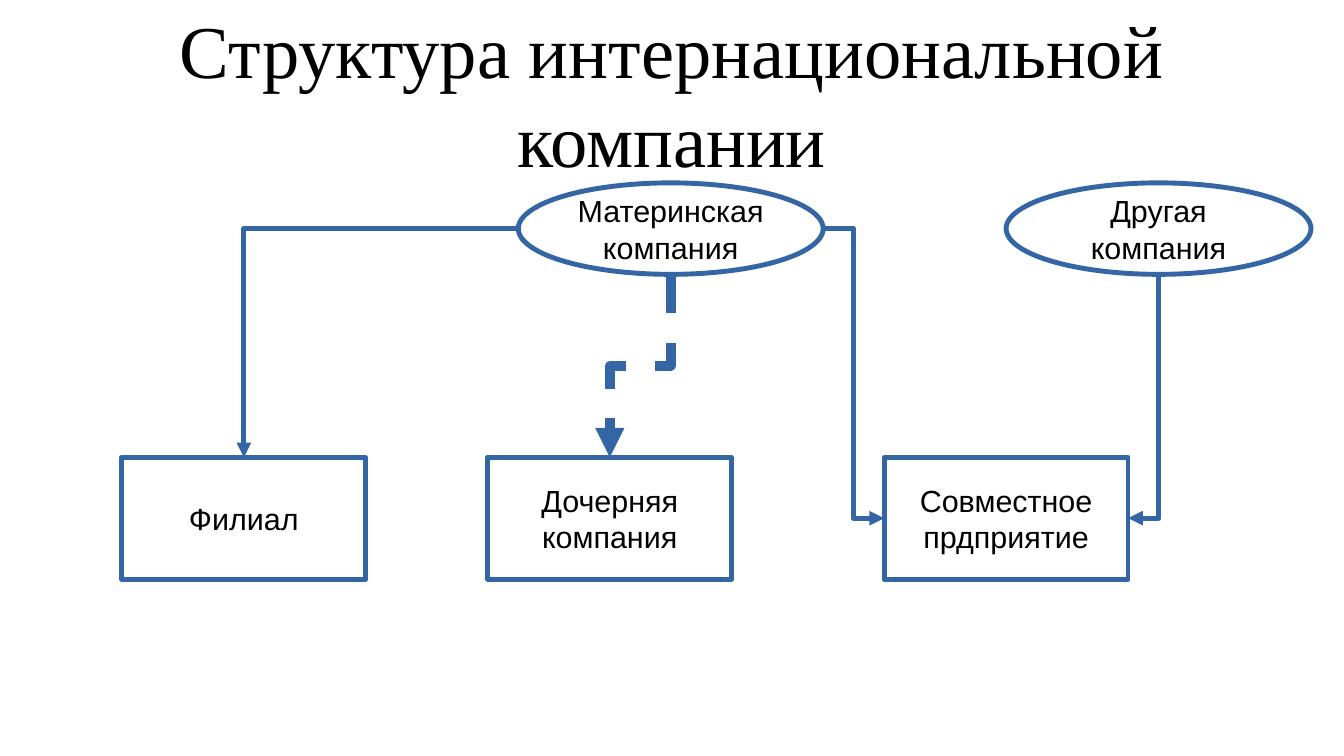
from pptx import Presentation
from pptx.dml.color import RGBColor
from pptx.enum.dml import MSO_LINE
from pptx.enum.shapes import MSO_CONNECTOR, MSO_SHAPE
from pptx.enum.text import MSO_ANCHOR, PP_ALIGN
from pptx.oxml.ns import qn
from pptx.util import Inches, Pt
from lxml.etree import SubElement

BLUE = RGBColor(0x34, 0x65, 0xA4)
WHITE = RGBColor(0xFF, 0xFF, 0xFF)
BLACK = RGBColor(0, 0, 0)
TOP, LEFT, BOTTOM, RIGHT = range(4)


def set_text(sp, text, font, size, margin_x=0, margin_y=0):
    """Write centred black text in a shape."""
    tf = sp.text_frame
    tf.word_wrap = True
    tf.vertical_anchor = MSO_ANCHOR.MIDDLE
    tf.margin_left = tf.margin_right = Inches(margin_x)
    tf.margin_top = tf.margin_bottom = Inches(margin_y)
    p = tf.paragraphs[0]
    p.text = text
    p.alignment = PP_ALIGN.CENTER
    p.font.name = font
    p.font.size = Pt(size)
    p.font.color.rgb = BLACK


def style_line(line, width, dash=None):
    """Draw a blue line with round joins and return its XML element."""
    line.color.rgb = BLUE
    line.width = Pt(width)
    if dash:
        line.dash_style = dash
    ln = line._get_or_add_ln()
    SubElement(ln, qn("a:round"))
    return ln


def add_title(s, text):
    """Add the slide title."""
    sp = s.shapes.add_textbox(Inches(0.55), Inches(0.09), Inches(9.92), Inches(1.35))
    set_text(sp, text, "Times New Roman", 44)


def add_node(s, kind, text, x, y, w, h):
    """Add a company outline with its name."""
    sp = s.shapes.add_shape(kind, Inches(x), Inches(y), Inches(w), Inches(h))
    sp.shadow.inherit = False
    sp.fill.solid()
    sp.fill.fore_color.rgb = WHITE
    style_line(sp.line, 2.89)
    set_text(sp, text, "Arial", 18, 0.12, 0.07)
    return sp


def add_owner(s, text, x):
    """Add an ellipse in the upper row."""
    return add_node(s, MSO_SHAPE.OVAL, text, x, 1.5, 2.5, 0.75)


def add_unit(s, text, x):
    """Add a rectangle in the lower row."""
    return add_node(s, MSO_SHAPE.RECTANGLE, text, x, 3.75, 2, 1)


def turn_down(cx):
    """Turn a connector by 90 degrees so that it starts downwards."""
    x, y, w, h = cx.left, cx.top, cx.width, cx.height
    cx.left, cx.top = x + (w - h) // 2, y + (h - w) // 2
    cx.width, cx.height = h, w
    xfrm = cx._element.spPr.xfrm
    xfrm.flipH = False
    xfrm.rot = 90


def add_link(s, owner, start, unit, end, geometry, width=2.89, dash=None):
    """Join an ellipse to a rectangle with an elbow arrow."""
    cx = s.shapes.add_connector(MSO_CONNECTOR.ELBOW, 0, 0, 0, 0)
    cx.begin_connect(owner, start)
    cx.end_connect(unit, end)
    el = cx._element
    el.nvCxnSpPr.cNvCxnSpPr.stCxn.idx = 2 * start
    el.spPr.find(qn("a:prstGeom")).set("prst", geometry)
    if start == BOTTOM:
        turn_down(cx)
    ln = style_line(cx.line, width, dash)
    SubElement(ln, qn("a:tailEnd"), type="triangle")
    SubElement(el.spPr, qn("a:effectLst"))


def main():
    """Build the company structure slide."""
    prs = Presentation()
    prs.slide_width, prs.slide_height = Inches(11.02), Inches(6.2)
    s = prs.slides.add_slide(prs.slide_layouts[6])
    add_title(s, "Структура интернациональной компании")
    parent = add_owner(s, "Материнская компания", 4.25)
    other = add_owner(s, "Другая компания", 8.25)
    branch = add_unit(s, "Филиал", 1)
    subsidiary = add_unit(s, "Дочерняя компания", 4)
    venture = add_unit(s, "Совместное прдприятие", 7.25)
    add_link(s, parent, LEFT, branch, TOP, "bentConnector2")
    add_link(s, parent, BOTTOM, subsidiary, TOP, "bentConnector3", 5.75, MSO_LINE.DASH)
    add_link(s, parent, RIGHT, venture, LEFT, "bentConnector3")
    add_link(s, other, BOTTOM, venture, RIGHT, "bentConnector2")
    prs.save("out.pptx")


if __name__ == "__main__":
    main()
